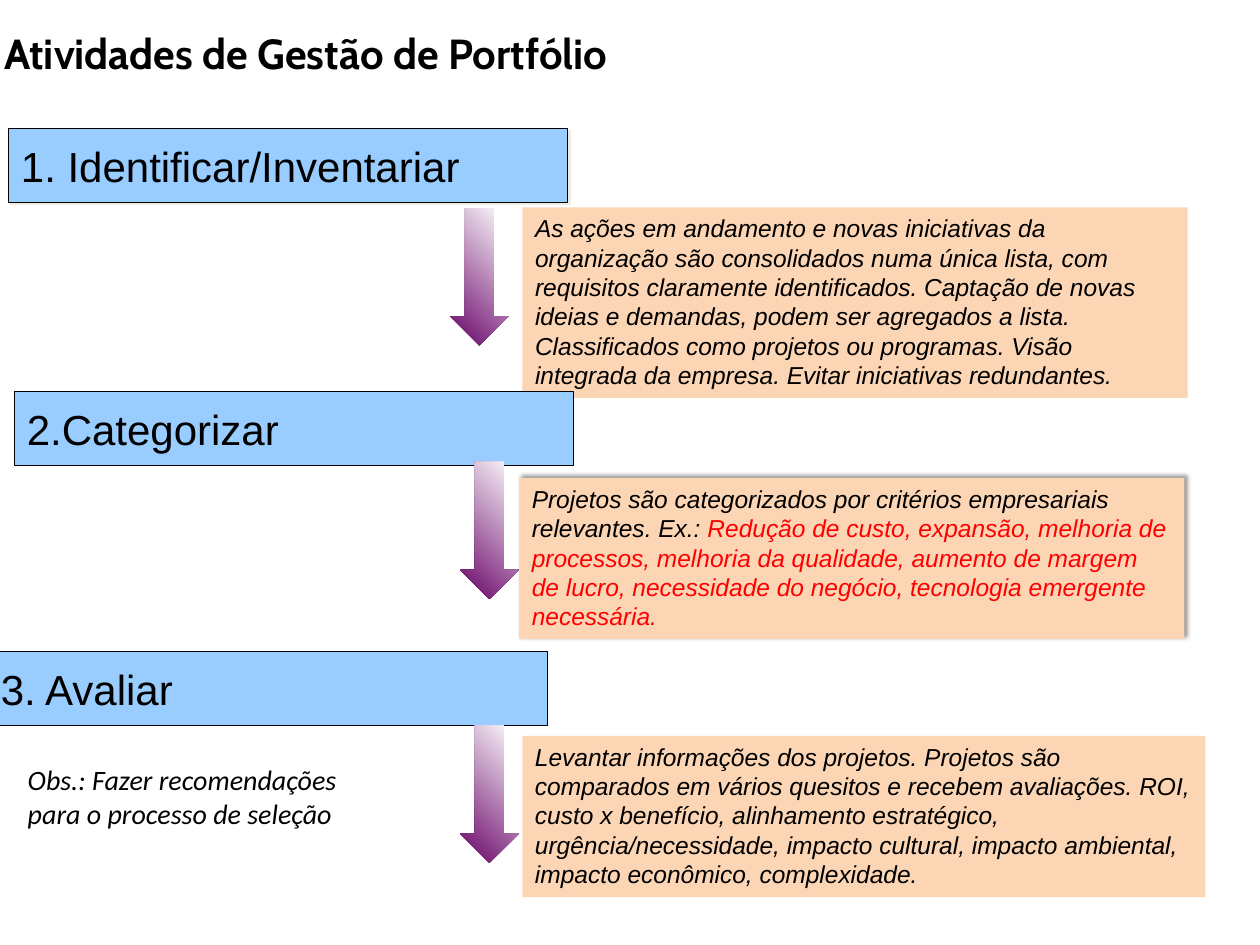
"""Builds the slide on portfolio management activities."""
from lxml.etree import SubElement
from pptx import Presentation
from pptx.dml.color import RGBColor
from pptx.enum.shapes import MSO_SHAPE as SHAPE
from pptx.enum.text import MSO_ANCHOR as ANCHOR, MSO_AUTO_SIZE as AUTO_SIZE, PP_ALIGN as ALIGN
from pptx.oxml.ns import qn
from pptx.util import Pt


def rgb(code):
    return RGBColor.from_string(code)


def write(box, paragraphs, font, size, bold=False, italic=False, anchor=ANCHOR.TOP):
    frame = box.text_frame
    frame.word_wrap = True
    frame.vertical_anchor = anchor
    frame.margin_left = frame.margin_right = Pt(10.8)
    frame.margin_top = frame.margin_bottom = Pt(5)
    for number, pieces in enumerate(paragraphs):
        paragraph = frame.add_paragraph() if number else frame.paragraphs[0]
        paragraph.alignment = ALIGN.LEFT
        for text, color in pieces:
            run = paragraph.add_run()
            run.text = text
            run.font.name, run.font.size = font, Pt(size)
            run.font.bold, run.font.italic = bold, italic
            run.font.color.rgb = rgb(color)


BLACK, RED, BLUE, PEACH, PURPLE, WHITE = "000000", "FF0000", "99CCFF", "FCD5B5", "660066", "FFFFFF"

steps = [
    ("1. Identificar/Inventariar", (7.2, 110.2), (447.8, 177.8, 570.2, 163.4), [
        ("As ações em andamento e novas iniciativas da organização são consolidados numa única "
         "lista, com requisitos claramente identificados. Captação de novas ideias e demandas, "
         "podem ser agregados a lista. Classificados como projetos ou programas. Visão integrada "
         "da empresa. Evitar iniciativas redundantes.", BLACK)]),
    ("2.Categorizar", (12.2, 335.5), (445, 409.7, 570.2, 138.2), [
        ("Projetos são categorizados por critérios empresariais relevantes. Ex.: ", BLACK),
        ("Redução de custo, expansão, melhoria de processos, melhoria da qualidade, aumento de "
         "margem de lucro, necessidade do negócio, tecnologia emergente necessária.", RED)]),
    ("3. Avaliar", (-10.1, 558.7), (447.8, 630.7, 585.4, 138.2), [
        ("Levantar informações dos projetos. Projetos são comparados em vários quesitos e recebem "
         "avaliações. ROI, custo x benefício, alinhamento estratégico, urgência/necessidade, "
         "impacto cultural, impacto ambiental, impacto econômico, complexidade.", BLACK)]),
]

deck = Presentation()
deck.slide_width, deck.slide_height = Pt(1080), Pt(810)
slide = deck.slides.add_slide(deck.slide_layouts[6])
shapes = slide.shapes

title = shapes.add_textbox(Pt(-7.2), Pt(18.7), Pt(959), Pt(53.3))
write(title, [[("Atividades de Gestão de Portfólio", BLACK)]], "Cabin", 36, bold=True)

bars, details = [], []
for heading, (left, top), area, description in steps:
    bar = shapes.add_shape(SHAPE.RECTANGLE, Pt(left), Pt(top), Pt(479.5), Pt(63.4))
    bar.shadow.inherit = False
    bar.fill.solid()
    bar.fill.fore_color.rgb = rgb(BLUE)
    bar.line.color.rgb = rgb(BLACK)
    bar.line.width = Pt(0.75)
    write(bar, [[(heading, BLACK)]], "Arial", 36, anchor=ANCHOR.MIDDLE)
    bars.append(bar)

    detail = shapes.add_shape(SHAPE.RECTANGLE, *map(Pt, area))
    detail.shadow.inherit = False
    detail.fill.solid()
    detail.fill.fore_color.rgb = rgb(PEACH)
    detail.line.fill.background()
    write(detail, [description], "Arial", 21, italic=True)
    detail.text_frame.auto_size = AUTO_SIZE.SHAPE_TO_FIT_TEXT
    details.append(detail)

for box, color, opacity, blur, distance, angle in [
    (bars[0], "EEECE1", 100, 0, 2.8, 45),
    (details[1], BLACK, 40, 4, 3, 315),
]:
    effects = box.element.spPr.find(qn("a:effectLst"))
    shadow = SubElement(effects, qn("a:outerShdw"), blurRad=str(Pt(blur)), dist=str(Pt(distance)),
                        dir=str(angle * 60000), algn="ctr", rotWithShape="0")
    tint = SubElement(shadow, qn("a:srgbClr"), val=color)
    SubElement(tint, qn("a:alpha"), val=str(opacity * 1000))

for left, top in [(385.9, 178.6), (394.6, 396), (394.6, 622.1)]:
    arrow = shapes.add_shape(SHAPE.DOWN_ARROW, Pt(left), Pt(top), Pt(49.7), Pt(117.4))
    arrow.shadow.inherit = False
    arrow.fill.gradient()
    arrow.fill.gradient_angle = 45
    for stop, color in zip(arrow.fill.gradient_stops, (PURPLE, WHITE)):
        stop.color.rgb = rgb(color)
    arrow.line.fill.background()

remark = shapes.add_textbox(Pt(13), Pt(648.7), Pt(290.9), Pt(69.1))
write(remark, [[("Obs.: Fazer recomendações", BLACK)], [("para o processo de seleção", BLACK)]],
      "Calibri", 24, italic=True)
remark.text_frame.auto_size = AUTO_SIZE.SHAPE_TO_FIT_TEXT

deck.save("out.pptx")
